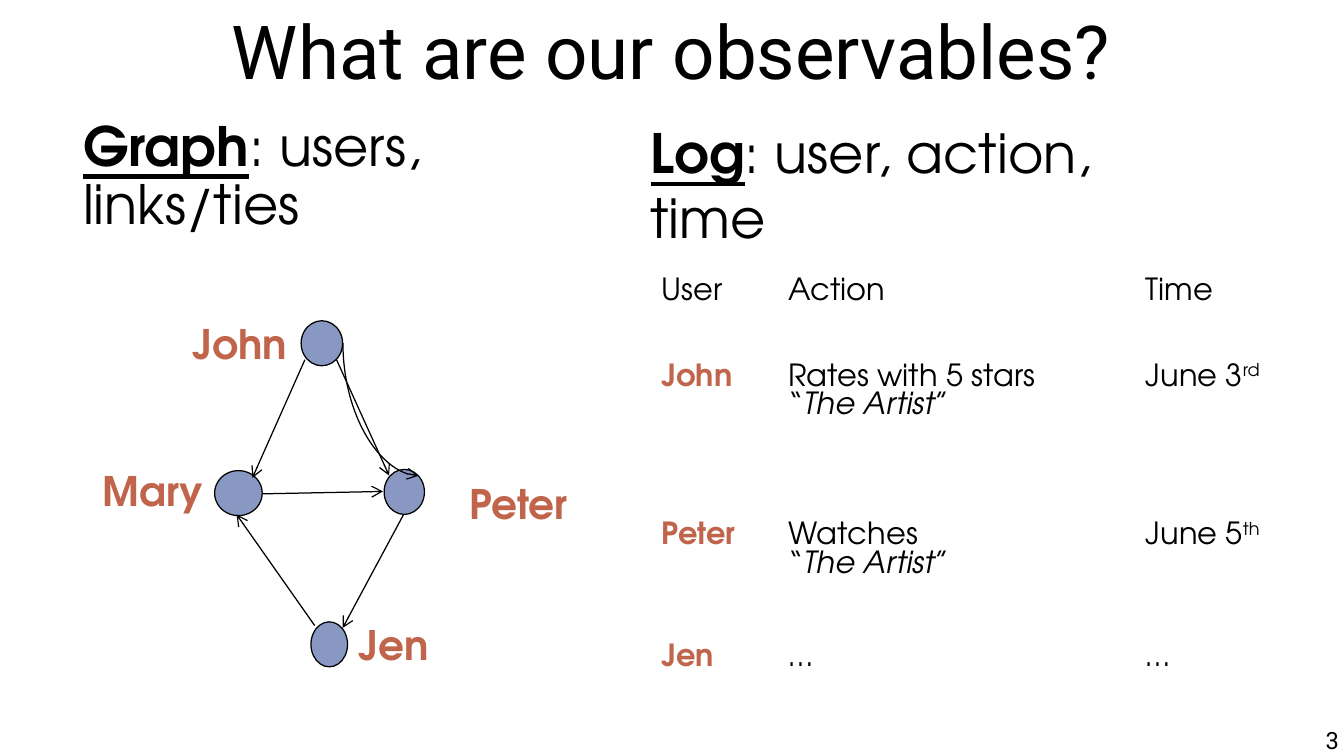
from lxml.etree import SubElement
from pptx import Presentation
from pptx.dml.color import RGBColor
from pptx.enum.shapes import MSO_CONNECTOR, MSO_SHAPE
from pptx.enum.text import MSO_ANCHOR, PP_ALIGN
from pptx.oxml.ns import qn
from pptx.util import Pt

BLACK = RGBColor(0x00, 0x00, 0x00)
WHITE = RGBColor(0xFF, 0xFF, 0xFF)
RUST = RGBColor(0xC0, 0x65, 0x4C)
NODE_BLUE = RGBColor(0x88, 0x98, 0xC3)
TITLE_FONT = "Roboto"
BODY_FONT = "TeX Gyre Adventor"

ITALIC = {"italic": True}
HEADING = {"bold": True, "underline": True}
NAME = {"bold": True, "color": RUST}
RAISED = {"baseline": "30000"}


def add_runs(paragraph, runs, size, font_name=BODY_FONT):
    """Append (text, format) runs; a format may hold color and baseline."""
    for text, style in runs:
        run = paragraph.add_run()
        run.text = text
        font_values = {"size": Pt(size), "name": font_name, **style}
        run.font.color.rgb = font_values.pop("color", BLACK)
        baseline = font_values.pop("baseline", None)
        if baseline:
            run.font._element.set("baseline", baseline)
        for attribute, value in font_values.items():
            setattr(run.font, attribute, value)


def add_text(bounds, runs, size, font_name=BODY_FONT, align=PP_ALIGN.CENTER,
             anchor=MSO_ANCHOR.MIDDLE, insets=(0, 0)):
    """Add a one-paragraph text box; insets are horizontal, vertical."""
    frame = slide.shapes.add_textbox(*map(Pt, bounds)).text_frame
    frame.word_wrap = True
    frame.vertical_anchor = anchor
    frame.margin_left = frame.margin_right = Pt(insets[0])
    frame.margin_top = frame.margin_bottom = Pt(insets[1])
    paragraph = frame.paragraphs[0]
    paragraph.alignment = align
    add_runs(paragraph, runs, size, font_name)
    return paragraph


presentation = Presentation()
presentation.slide_width, presentation.slide_height = Pt(793.44), Pt(446.4)
slide = presentation.slides.add_slide(presentation.slide_layouts[6])

add_text((39.4, -0.7, 714.2, 59.8), [("What are our observables?", {})], 44, TITLE_FONT)

# Column headings
for bounds, term, explanation, spacing in [
    ((35.5, 67, 323.3, 77.8), "Graph", ": users, links/ties", 0.9),
    ((370.5, 67, 343.4, 90), "Log", ": user, action, time", 1.0),
]:
    heading = add_text(bounds, [(term, HEADING), (explanation, {})], 32,
                       align=PP_ALIGN.LEFT, anchor=MSO_ANCHOR.TOP, insets=(7.2, 3.6))
    heading.line_spacing = spacing
    heading._p.get_or_add_pPr().set("marL", str(Pt(6.5)))

# Social graph: users
for user, node_bounds, label_bounds in [
    ("John", (177.8, 189.4, 24.5, 26.6), (105.1, 182.4, 72.7, 40.3)),
    ("Peter", (226.8, 277.2, 23.8, 26.6), (259.7, 277.2, 92.9, 40.3)),
    ("Jen", (183.6, 367.2, 21.6, 26.6), (196, 360, 72.7, 40.3)),
    ("Mary", (126.7, 277.9, 28.1, 26.6), (54, 269.3, 72.7, 40.3)),
]:
    node = slide.shapes.add_shape(MSO_SHAPE.OVAL, *map(Pt, node_bounds))
    node.shadow.inherit = False
    node.fill.solid()
    node.fill.fore_color.rgb = NODE_BLUE
    node.line.color.rgb = BLACK
    node.line.width = Pt(0.75)
    add_text(label_bounds, [(user, NAME)], 24)

# Social graph: ties; the curved one is laid flat, then turned a quarter
for kind, ends in [
    (MSO_CONNECTOR.STRAIGHT, (198.7, 212.4, 229.7, 280.8)),
    (MSO_CONNECTOR.STRAIGHT, (180, 212.4, 149, 282.2)),
    (MSO_CONNECTOR.STRAIGHT, (154.8, 291.6, 226.1, 290.2)),
    (MSO_CONNECTOR.STRAIGHT, (238.3, 303.8, 202.3, 370.8)),
    (MSO_CONNECTOR.STRAIGHT, (185.8, 369.4, 139.7, 303.8)),
    (MSO_CONNECTOR.CURVE, (185.5, 263.9, 264, 219.3)),
]:
    tie = slide.shapes.add_connector(kind, *map(Pt, ends))
    tie.line.color.rgb = BLACK
    tie.line.width = Pt(0.75)
    SubElement(tie.line._get_or_add_ln(), qn("a:tailEnd"), type="arrow")
    properties = tie._element.spPr
    SubElement(properties, qn("a:effectLst"))
    if kind == MSO_CONNECTOR.CURVE:
        properties.find(qn("a:prstGeom")).set("prst", "curvedConnector2")
        properties.find(qn("a:xfrm")).set("rot", str(90 * 60000))

# Action log: each cell is a list of paragraphs, each paragraph a list of runs
film = [("“", {}), ("The Artist", ITALIC), ("”", {})]
log_rows = [
    (50.4, [[[("User", {})]], [[("Action", {})]], [[("Time", {})]]]),
    (93.6, [[[("John", NAME)]], [[("Rates with 5 stars", {})], film],
            [[("June 3", {}), ("rd", RAISED)]]]),
    (72, [[[("Peter", NAME)]], [[("Watches", {})], film],
          [[("June 5", {}), ("th", RAISED)]]]),
    (59, [[[("Jen", NAME)]], [[("…", {})]], [[("…", {})]]]),
]
column_widths = [74.9, 211, 108.7]
log = slide.shapes.add_table(len(log_rows), len(column_widths), Pt(383.4), Pt(160.6),
                             Pt(sum(column_widths)), Pt(275)).table
log.first_row = log.horz_banding = False
for column, width in zip(log.columns, column_widths):
    column.width = Pt(width)
for row, (height, entries) in zip(log.rows, log_rows):
    row.height = Pt(height)
    for cell, lines in zip(row.cells, entries):
        cell.fill.solid()
        cell.fill.fore_color.rgb = WHITE
        for index, runs in enumerate(lines):
            frame = cell.text_frame
            paragraph = frame.add_paragraph() if index else frame.paragraphs[0]
            add_runs(paragraph, runs, 18)

add_text((605.5, 428.4, 185, 18), [("3", {})], 14, TITLE_FONT,
         align=PP_ALIGN.RIGHT, anchor=MSO_ANCHOR.TOP)

presentation.save("out.pptx")
